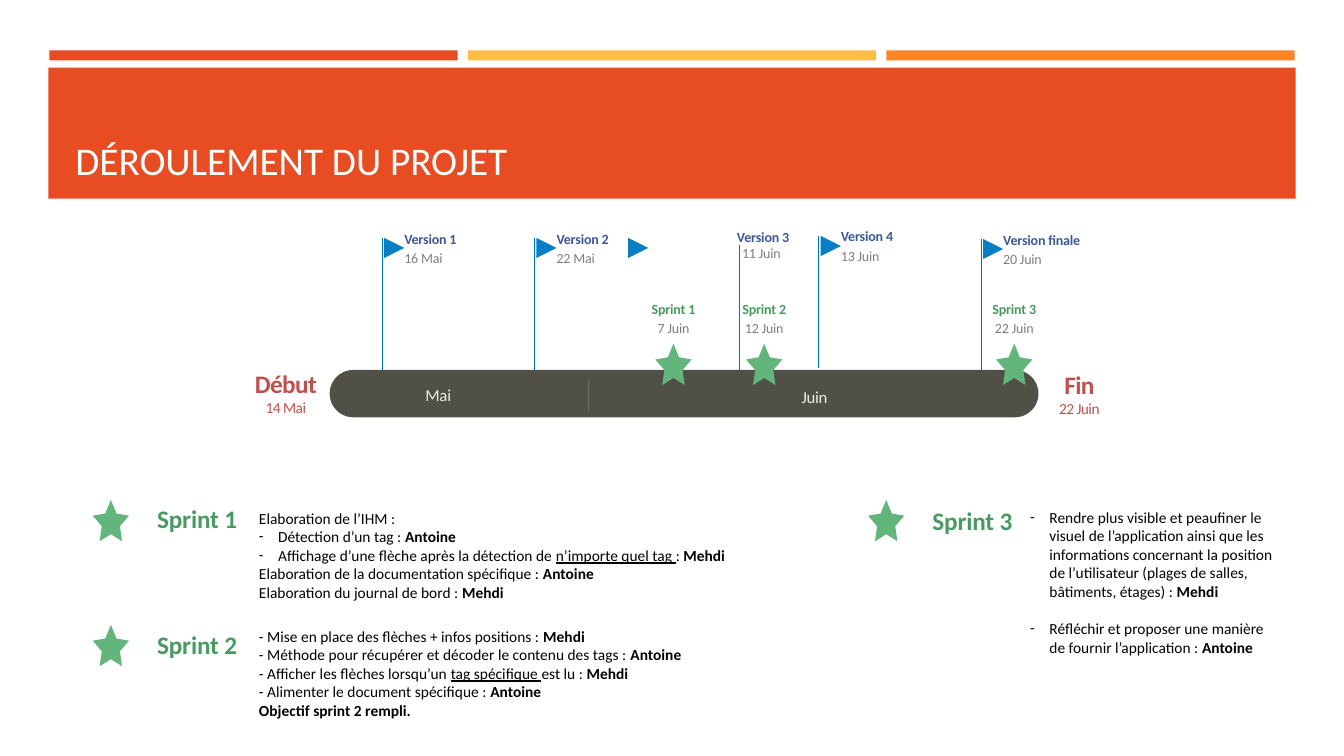
from lxml import etree
from pptx import Presentation
from pptx.dml.color import RGBColor
from pptx.enum.shapes import MSO_CONNECTOR, MSO_SHAPE
from pptx.enum.text import MSO_ANCHOR, PP_ALIGN
from pptx.oxml.ns import qn
from pptx.util import Inches, Pt

RECT, ROUNDED = MSO_SHAPE.RECTANGLE, MSO_SHAPE.ROUNDED_RECTANGLE
STAR, FLAG = MSO_SHAPE.STAR_5_POINT, MSO_SHAPE.FLOWCHART_MERGE
STRAIGHT = MSO_CONNECTOR.STRAIGHT
LEFT, CENTER = PP_ALIGN.LEFT, PP_ALIGN.CENTER
TOP, MIDDLE, BOTTOM = MSO_ANCHOR.TOP, MSO_ANCHOR.MIDDLE, MSO_ANCHOR.BOTTOM

WHITE = RGBColor(0xFF, 0xFF, 0xFF)
BLACK = RGBColor(0, 0, 0)
ORANGE_RED = RGBColor(0xE8, 0x4C, 0x22)
YELLOW = RGBColor(0xFF, 0xBD, 0x47)
ORANGE = RGBColor(0xFF, 0x84, 0x27)
LINE_BLUE = RGBColor(0x00, 0x72, 0xBC)
FLAG_BLUE = RGBColor(0x08, 0x7F, 0xC3)
NAVY = RGBColor(0x3B, 0x59, 0x98)
GRAY = RGBColor(0x7F, 0x7F, 0x7F)
RED = RGBColor(0xC0, 0x50, 0x4D)
BAR_GRAY = RGBColor(0x50, 0x50, 0x46)
CREAM = RGBColor(0xEE, 0xEC, 0xE1)
STAR_GREEN = RGBColor(0x62, 0xB5, 0x7B)
TEXT_GREEN = RGBColor(0x48, 0x9A, 0x61)

# Line x, top, name, date
VERSIONS = [
    (3.79, 2.36, "Version 1", "16 Mai"),
    (5.3, 2.36, "Version 2", "22 Mai"),
    (8.12, 2.34, "Version 4", "13 Juin"),
    (9.73, 2.37, "Version finale", "20 Juin"),
]
# Star centre x, name, date
SPRINTS = [
    (6.68, "Sprint 1", "7 Juin"),
    (7.58, "Sprint 2", "12 Juin"),
    (10.06, "Sprint 3", "22 Juin"),
]
# Star x, star y, heading y, name
HEADINGS = [
    (0.92, 4.96, 4.99, "Sprint 1"),
    (0.92, 6.2, 6.24, "Sprint 2"),
    (8.61, 4.96, 5.01, "Sprint 3"),
]
# Paragraphs: bulleted, then runs of (text, style), b for bold and u for underlined
SPRINT_1_TASKS = [
    (False, [("Elaboration de l’IHM :", "")]),
    (True, [("Détection d’un tag : ", ""), ("Antoine", "b")]),
    (True, [("Affichage d’une flèche après la détection de ", ""),
            ("n’importe quel tag ", "u"), (": ", ""), ("Mehdi", "b")]),
    (False, [("Elaboration de la documentation spécifique : ", ""), ("Antoine", "b")]),
    (False, [("Elaboration du journal de bord : ", ""), ("Mehdi", "b")]),
]
SPRINT_2_TASKS = [
    (False, [("- Mise en place des flèches + infos positions : ", ""), ("Mehdi", "b")]),
    (False, [("- Méthode pour récupérer et décoder le contenu des tags : ", ""),
             ("Antoine", "b")]),
    (False, [("- Afficher les flèches lorsqu’un ", ""), ("tag spécifique ", "u"),
             ("est lu : ", ""), ("Mehdi", "b")]),
    (False, [("- Alimenter le document spécifique :", ""), (" Antoine", "b")]),
    (False, [("Objectif sprint 2 rempli.", "b")]),
]
SPRINT_3_TASKS = [
    (True, [("Rendre plus visible et peaufiner le visuel de l’application ainsi que les "
             "informations concernant la position de l’utilisateur (plages de salles, "
             "bâtiments, étages) : ", ""), ("Mehdi", "b")]),
    (True, [("Réfléchir et proposer une manière de fournir l’application : ", ""),
            ("Antoine", "b")]),
]


def add_block(s, kind, x, y, w, h, color):
    sp = s.shapes.add_shape(kind, Inches(x), Inches(y), Inches(w), Inches(h))
    sp.shadow.inherit = False
    sp.fill.solid()
    sp.fill.fore_color.rgb = color
    sp.line.fill.background()
    return sp


def add_star(s, x, y):
    add_block(s, STAR, x, y, 0.36, 0.41, STAR_GREEN).adjustments[0] = 0.25


def add_flag(s, x, y):
    add_block(s, FLAG, x, y, 0.2, 0.2, FLAG_BLUE).rotation = 270


def add_vertical(s, x, top, bottom, color, width, alpha=100):
    """Draw a vertical line; alpha is its opacity in percent."""
    line = s.shapes.add_connector(STRAIGHT, Inches(x), Inches(top), Inches(x), Inches(bottom))
    line.line.color.rgb = color
    line.line.width = Pt(width)
    spPr = line._element.spPr
    etree.SubElement(spPr, qn("a:effectLst"))
    if alpha < 100:
        clr = spPr.find(".//" + qn("a:srgbClr"))
        etree.SubElement(clr, qn("a:alpha")).set("val", str(alpha * 1000))


def add_frame(s, x, y, w, h, anchor, inset=(0, 0), wrap=True):
    """Add a text box with (horizontal, vertical) insets and return its frame."""
    tf = s.shapes.add_textbox(Inches(x), Inches(y), Inches(w), Inches(h)).text_frame
    side, end = (Inches(v) for v in inset)
    frame = dict(word_wrap=wrap, vertical_anchor=anchor, margin_left=side,
                 margin_right=side, margin_top=end, margin_bottom=end)
    for name, value in frame.items():
        setattr(tf, name, value)
    return tf


def add_run(p, text, size, color, spacing=0, **styles):
    """Add a run; spacing is between letters, in hundredths of a point."""
    r = p.add_run()
    r.text = text
    for name, value in dict(name="Calibri", size=Pt(size), **styles).items():
        setattr(r.font, name, value)
    r.font.color.rgb = color
    if spacing:
        r._r.get_or_add_rPr().set("spc", str(spacing))


def add_label(s, text, x, y, w, h, size, color, align=LEFT, bold=False, spacing=-10):
    p = add_frame(s, x, y, w, h, MIDDLE).paragraphs[0]
    p.alignment = align
    add_run(p, text, size, color, spacing, bold=bold)


def add_limit(s, name, date, x, y, w):
    """Add the start or end caption beside the bar."""
    tf = add_frame(s, x, y, w, 0.49, MIDDLE, wrap=False)
    for p, text, size in ((tf.paragraphs[0], name, 18), (tf.add_paragraph(), date, 11)):
        p.alignment = CENTER
        add_run(p, text, size, RED, -40, bold=size == 18)


def add_tasks(s, tasks, x, y, w, h, gap=0):
    tf = add_frame(s, x, y, w, h, TOP, (0.1, 0.05))
    for i, (bulleted, runs) in enumerate(tasks):
        p = tf.add_paragraph() if i else tf.paragraphs[0]
        if bulleted:
            pPr = p._p.get_or_add_pPr()
            pPr.set("marL", str(Inches(0.19)))
            pPr.set("indent", str(-Inches(0.19)))
            etree.SubElement(pPr, qn("a:buFont")).set("typeface", "Calibri")
            etree.SubElement(pPr, qn("a:buChar")).set("char", "-")
        if i and gap:
            p.space_before = Pt(gap)
        for text, style in runs:
            add_run(p, text, 11, BLACK, bold=style == "b", underline=style == "u")


def add_header(s):
    for i, color in enumerate((ORANGE_RED, YELLOW, ORANGE)):
        add_block(s, RECT, 0.49 + 4.15 * i, 0.5, 4.05, 0.1, color)
    add_block(s, RECT, 0.48, 0.67, 12.37, 1.3, ORANGE_RED)
    tf = add_frame(s, 0.65, 0.77, 9.53, 1.1, BOTTOM, (0.1, 0.05))
    add_run(tf.paragraphs[0], "DÉROULEMENT DU PROJET", 28, WHITE)


def add_version_text(s, name, date, x, y, date_x, date_y):
    add_label(s, name, x, y, 0.87, 0.19, 10, NAVY, bold=True)
    add_label(s, date, date_x, date_y, 0.47, 0.19, 10, GRAY)


def add_timeline(s):
    for x, top, name, date in VERSIONS:
        add_vertical(s, x, top, top + 1.31, LINE_BLUE, 0.75)
        add_flag(s, x + 0.02, top)
        add_version_text(s, name, date, x + 0.22, top - 0.09, x + 0.22, top + 0.1)
    # Version 3 has its flag well to the left of its line
    add_vertical(s, 7.33, 2.43, 3.75, LINE_BLUE, 0.75)
    add_flag(s, 6.23, 2.36)
    add_version_text(s, "Version 3", "11 Juin", 7.31, 2.26, 7.36, 2.41)

    add_limit(s, "Début", "14 Mai", 2.51, 3.65, 0.65)
    add_limit(s, "Fin", "22 Juin", 10.5, 3.66, 0.41)
    add_block(s, ROUNDED, 3.27, 3.67, 7.03, 0.47, BAR_GRAY).adjustments[0] = 0.5
    for month, x, y in (("Mai", 4.22, 3.8), ("Juin", 7.95, 3.82)):
        add_label(s, month, x, y, 0.6, 0.23, 12, CREAM, spacing=-20)
    add_vertical(s, 5.84, 3.76, 4.08, CREAM, 0.5, alpha=30)

    for x, name, date in SPRINTS:
        add_label(s, name, x - 0.38, 2.97, 0.76, 0.19, 10, TEXT_GREEN, CENTER, True)
        add_label(s, date, x - 0.29, 3.16, 0.58, 0.19, 10, GRAY, CENTER)
        add_star(s, x - 0.18, 3.41)


def add_sprint_details(s):
    for x, y, text_y, name in HEADINGS:
        add_star(s, x, y)
        add_label(s, name, x + 0.5, text_y, 1.07, 0.3, 18, TEXT_GREEN, CENTER, True)
    add_tasks(s, SPRINT_1_TASKS, 2.47, 5, 6.62, 1.33)
    add_tasks(s, SPRINT_2_TASKS, 2.47, 6.17, 6.02, 1.03)
    add_tasks(s, SPRINT_3_TASKS, 10.12, 4.99, 2.63, 2.07, gap=13.4)


def main():
    prs = Presentation()
    prs.slide_width, prs.slide_height = Inches(13.33), Inches(7.5)
    s = prs.slides.add_slide(prs.slide_layouts[6])
    add_header(s)
    add_timeline(s)
    add_sprint_details(s)
    prs.save("out.pptx")


if __name__ == "__main__":
    main()
